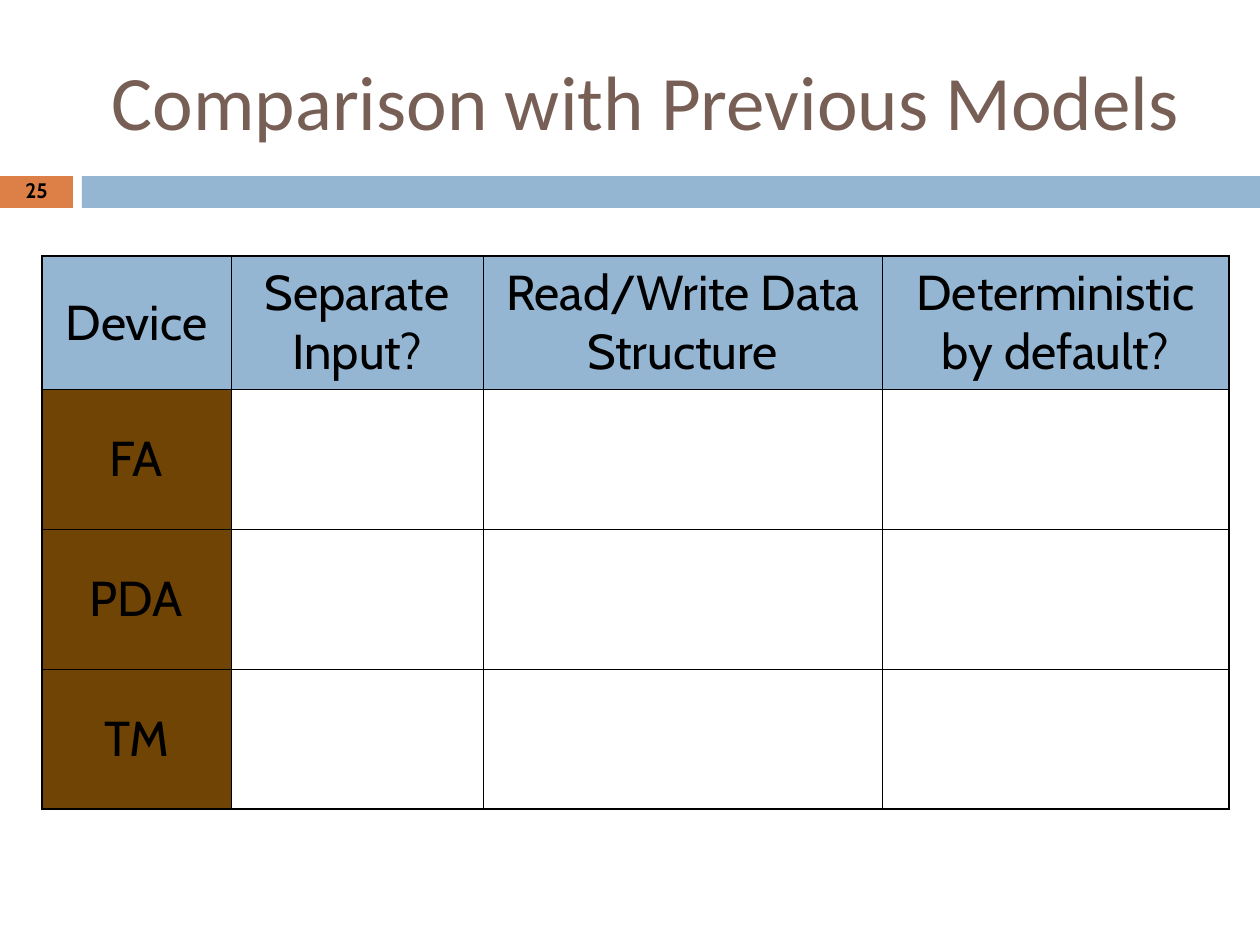
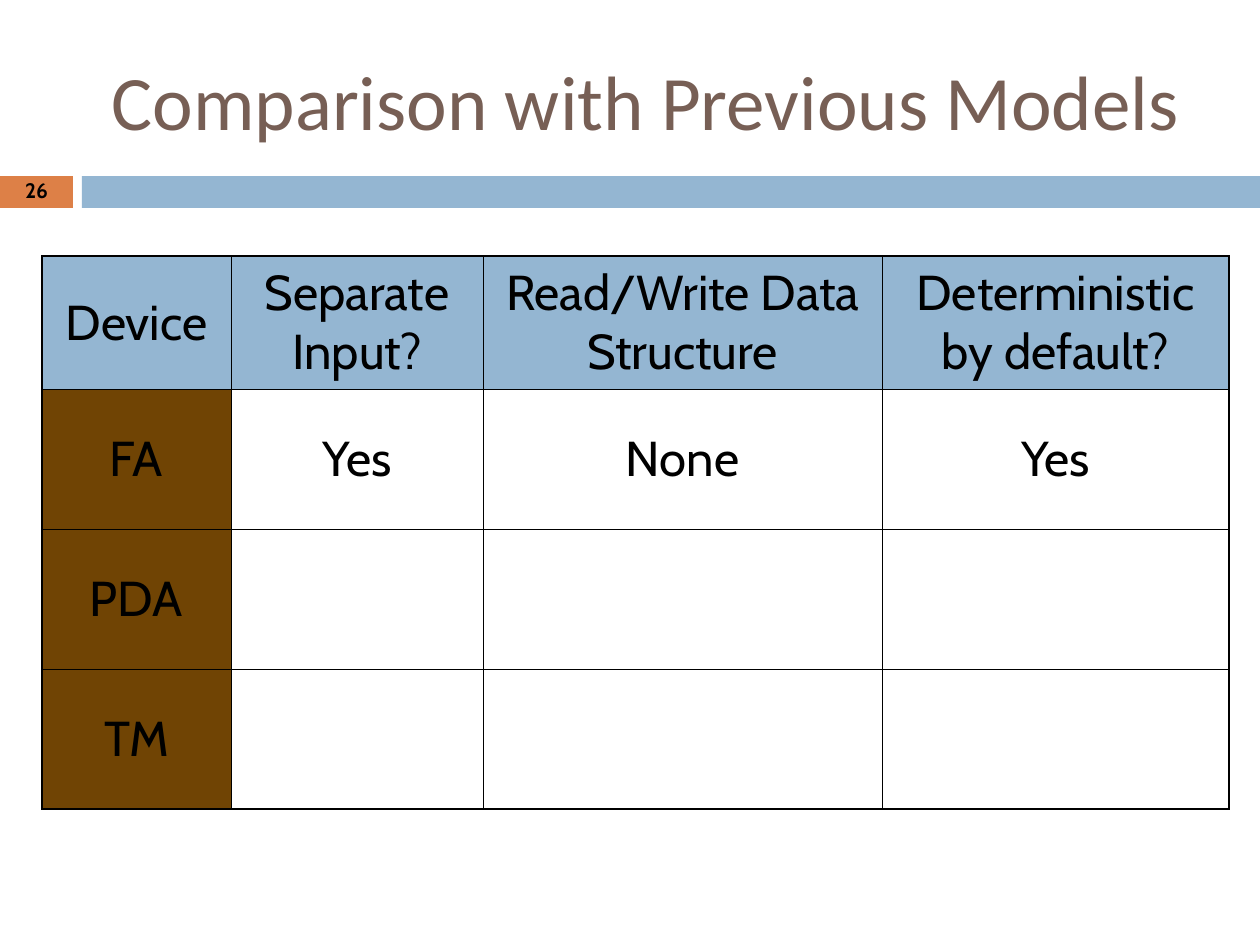
from typing import NamedTuple

from lxml.etree import SubElement
from pptx import Presentation
from pptx.dml.color import RGBColor
from pptx.enum.shapes import MSO_SHAPE
from pptx.enum.text import MSO_ANCHOR, MSO_AUTO_SIZE, PP_ALIGN
from pptx.oxml.ns import qn
from pptx.slide import Slide
from pptx.table import _Cell
from pptx.text.text import TextFrame
from pptx.util import Emu, Pt

ORANGE = RGBColor(0xDD, 0x80, 0x47)
BLUE = RGBColor(0x94, 0xB6, 0xD2)
BROWN = RGBColor(0x70, 0x44, 0x04)
TAUPE = RGBColor(0x77, 0x5F, 0x55)
BLACK = RGBColor(0, 0, 0)

PX_PER_INCH = 126
OUTER, INNER = 1.08, 0.45


class Box(NamedTuple):
    left: int
    top: int
    width: int
    height: int


class Band(NamedTuple):
    box: Box
    color: RGBColor


class Page(NamedTuple):
    number: int
    answers: dict[str, list[str]]


SLIDE_SIZE = (1260, 945)
BANDS = [Band(Box(0, 176, 73, 32), ORANGE), Band(Box(82, 176, 1178, 32), BLUE)]
TITLE_BOX = Box(84, 32, 1124, 136)
NUMBER_BOX = Box(0, 175, 73, 34)

TITLE = "Comparison with Previous Models"
HEADERS = ["Device", "Separate Input?", "Read/Write Data Structure",
           "Deterministic by default?"]
DEVICES = ["FA", "PDA", "TM"]
TABLE_LEFT, TABLE_TOP = 42, 256
COL_WIDTHS = [189, 252, 399, 347]
ROW_HEIGHTS = [133] + [140] * len(DEVICES)
PAGES = [Page(25, {}), Page(26, {"FA": ["Yes", "None", "Yes"]})]


def px(value: int) -> Emu:
    return Emu(round(value * 914400 / PX_PER_INCH))


def place(box: Box) -> list[Emu]:
    return [px(v) for v in box]


def write(tf: TextFrame, text: str, *, size: int, font: str = "Cabin",
          color: RGBColor = BLACK, bold: bool = False,
          line_spacing: float | None = None) -> None:
    p = tf.paragraphs[0]
    p.alignment = PP_ALIGN.CENTER
    p.line_spacing = line_spacing
    r = p.add_run()
    r.text = text
    r.font.size = Pt(size)
    r.font.name = font
    r.font.bold = bold
    r.font.color.rgb = color


def add_band(s: Slide, band: Band) -> None:
    sp = s.shapes.add_shape(MSO_SHAPE.RECTANGLE, *place(band.box))
    sp.shadow.inherit = False
    sp.fill.solid()
    sp.fill.fore_color.rgb = band.color
    sp.line.fill.background()


def add_frame(s: Slide, number: int) -> None:
    for band in BANDS:
        add_band(s, band)
    title = s.shapes.title
    title.left, title.top, title.width, title.height = place(TITLE_BOX)
    number_box = s.shapes.add_textbox(*place(NUMBER_BOX))
    for sp in (title, number_box):
        tf = sp.text_frame
        tf.word_wrap = True
        tf.auto_size = MSO_AUTO_SIZE.NONE
        tf.vertical_anchor = MSO_ANCHOR.MIDDLE
    write(title.text_frame, TITLE, size=44, font="Calibri", color=TAUPE)
    write(number_box.text_frame, str(number), size=12, bold=True, line_spacing=0.8)


def set_borders(cell: _Cell, row: int, col: int) -> None:
    outer_sides = {
        "a:lnL": col == 0,
        "a:lnR": col == len(HEADERS) - 1,
        "a:lnT": row == 0,
        "a:lnB": row == len(DEVICES),
    }
    tc_pr = cell._tc.get_or_add_tcPr()
    for tag, is_outer in outer_sides.items():
        width = Pt(OUTER if is_outer else INNER)
        ln = SubElement(tc_pr, qn(tag), w=str(int(width)))
        fill = SubElement(ln, qn("a:solidFill"))
        SubElement(fill, qn("a:srgbClr"), val=str(BLACK))


def format_cell(cell: _Cell, row: int, col: int, text: str) -> None:
    set_borders(cell, row, col)
    cell.vertical_anchor = MSO_ANCHOR.MIDDLE
    if row == 0 or col == 0:
        cell.fill.solid()
        cell.fill.fore_color.rgb = BLUE if row == 0 else BROWN
    else:
        cell.fill.background()
    if text:
        write(cell.text_frame, text, size=28)


def add_comparison(s: Slide, answers: dict[str, list[str]]) -> None:
    unanswered = [""] * (len(HEADERS) - 1)
    rows = [HEADERS] + [[d, *answers.get(d, unanswered)] for d in DEVICES]
    box = Box(TABLE_LEFT, TABLE_TOP, sum(COL_WIDTHS), sum(ROW_HEIGHTS))
    table = s.shapes.add_table(len(rows), len(HEADERS), *place(box)).table
    table.first_row = table.horz_banding = False
    for column, width in zip(table.columns, COL_WIDTHS):
        column.width = px(width)
    for table_row, height in zip(table.rows, ROW_HEIGHTS):
        table_row.height = px(height)
    for row, texts in enumerate(rows):
        for col, text in enumerate(texts):
            format_cell(table.cell(row, col), row, col, text)


def main() -> None:
    prs = Presentation()
    prs.slide_width, prs.slide_height = (px(v) for v in SLIDE_SIZE)
    title_only = prs.slide_layouts.get_by_name("Title Only")
    for page in PAGES:
        s = prs.slides.add_slide(title_only)
        add_frame(s, page.number)
        add_comparison(s, page.answers)
    prs.save("out.pptx")


if __name__ == "__main__":
    main()
